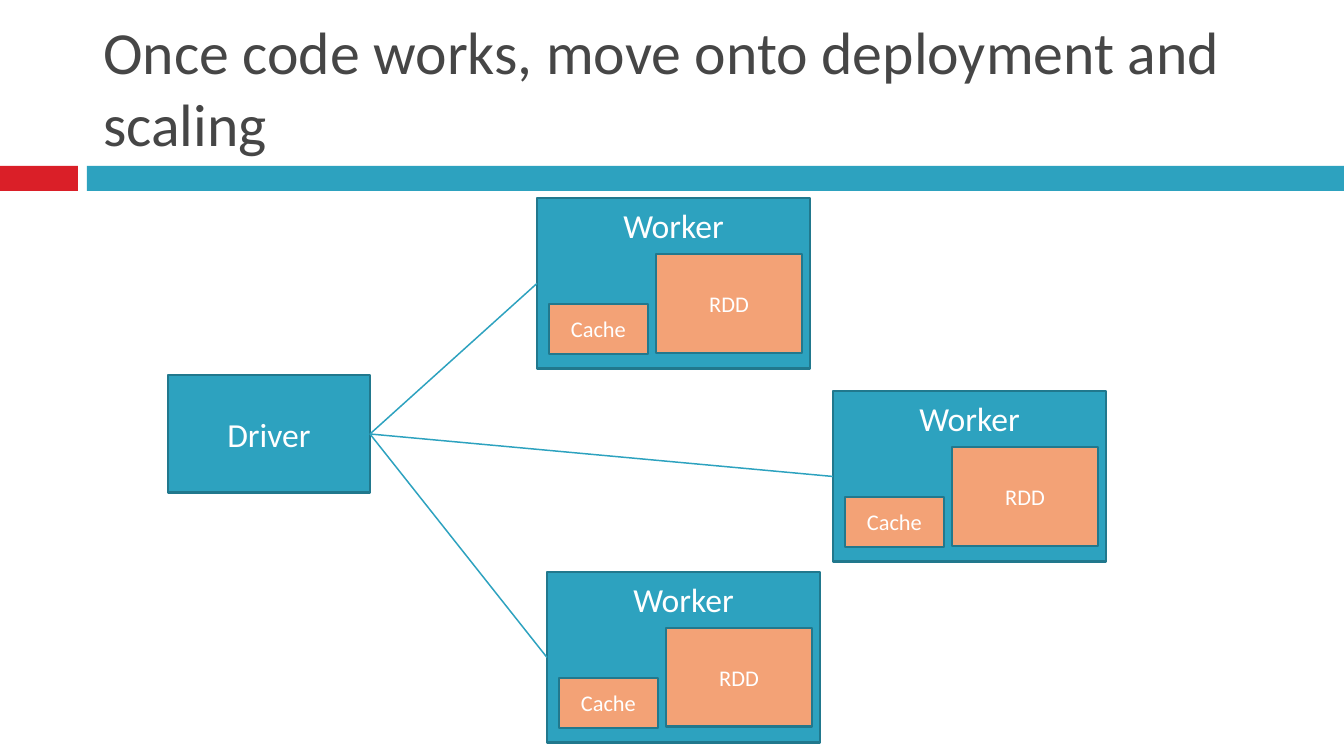
from lxml import etree
from pptx import Presentation, util as u
from pptx.dml.color import RGBColor
from pptx.enum import shapes, text
from pptx.oxml.ns import qn

SCALE = 914400 / 134.4
FONT = "Calibri"
COLORS = {"red": "DA1F28", "teal": "2DA2BF", "edge": "21788D",
          "orange": "F3A276", "white": "FFFFFF", "title": "464646"}

SLIDE_SIZE = (1344, 756)
TITLE = ("Once code works, move onto deployment and scaling", (90, 17, 1199, 148))
BANDS = [("red", (0, 166, 78, 25)), ("teal", (87, 166, 1257, 25))]
DRIVER = ("Driver", (168, 375, 202, 118))
WORKER_SIZE = (273, 171)
WORKER_CORNERS = [(537, 198), (833, 391), (547, 572)]
# Places of the inner boxes relative to the worker's corner
WORKER_PARTS = [("Cache", (12, 106, 99, 50)), ("RDD", (119, 56, 146, 99))]

MIDDLE, TOP, BOTTOM = (text.MSO_ANCHOR.MIDDLE, text.MSO_ANCHOR.TOP,
                       text.MSO_ANCHOR.BOTTOM)
LEFT_SITE, RIGHT_SITE = 1, 3


def emu(*pixels):
    """Turn pixel lengths into EMU."""
    return [u.Emu(round(pixel * SCALE)) for pixel in pixels]


def color(name):
    """Look up a colour by name."""
    return RGBColor.from_string(COLORS[name])


def write(shape, words, size, ink="white", anchor=MIDDLE,
          align=text.PP_ALIGN.CENTER):
    """Put one formatted paragraph into a shape."""
    frame = shape.text_frame
    frame.word_wrap = True
    frame.vertical_anchor = anchor
    paragraph = frame.paragraphs[0]
    paragraph.alignment = align
    run = paragraph.add_run()
    run.text = words
    for name, value in {"name": FONT, "size": u.Pt(size)}.items():
        setattr(run.font, name, value)
    run.font.color.rgb = color(ink)


def add_box(slide, place, fill, edge=None):
    """Add a flat rectangle, outlined when an edge colour is given."""
    shape = slide.shapes.add_shape(shapes.MSO_SHAPE.RECTANGLE, *emu(*place))
    shape.shadow.inherit = False
    shape.fill.solid()
    shape.fill.fore_color.rgb = color(fill)
    if edge:
        shape.line.color.rgb = color(edge)
        shape.line.width = u.Pt(1.5)
    else:
        shape.line.fill.background()
    return shape


def add_worker(slide, corner):
    """Add a worker with its inner boxes and return the outer box."""
    left, top = corner
    worker = add_box(slide, (left, top, *WORKER_SIZE), "teal", "edge")
    write(worker, "Worker", 18, anchor=TOP)
    for label, (x, y, width, height) in WORKER_PARTS:
        part = add_box(slide, (left + x, top + y, width, height), "orange", "edge")
        write(part, label, 12)
    return worker


def link(slide, source, target):
    """Join the right side of one box to the left side of another."""
    line = slide.shapes.add_connector(shapes.MSO_CONNECTOR.STRAIGHT, 0, 0, 0, 0)
    line.begin_connect(source, RIGHT_SITE)
    line.end_connect(target, LEFT_SITE)
    line.line.color.rgb = color("teal")
    line.line.width = u.Pt(0.79)
    etree.SubElement(line._element.spPr, qn("a:effectLst"))


presentation = Presentation()
presentation.slide_width, presentation.slide_height = emu(*SLIDE_SIZE)
slide = presentation.slides.add_slide(presentation.slide_layouts[6])

for fill, place in BANDS:
    add_box(slide, place, fill)
words, place = TITLE
write(slide.shapes.add_textbox(*emu(*place)), words, 32, "title", BOTTOM,
      text.PP_ALIGN.LEFT)

label, place = DRIVER
driver = add_box(slide, place, "teal", "edge")
write(driver, label, 18)
for corner in WORKER_CORNERS:
    link(slide, driver, add_worker(slide, corner))

presentation.save("out.pptx")
